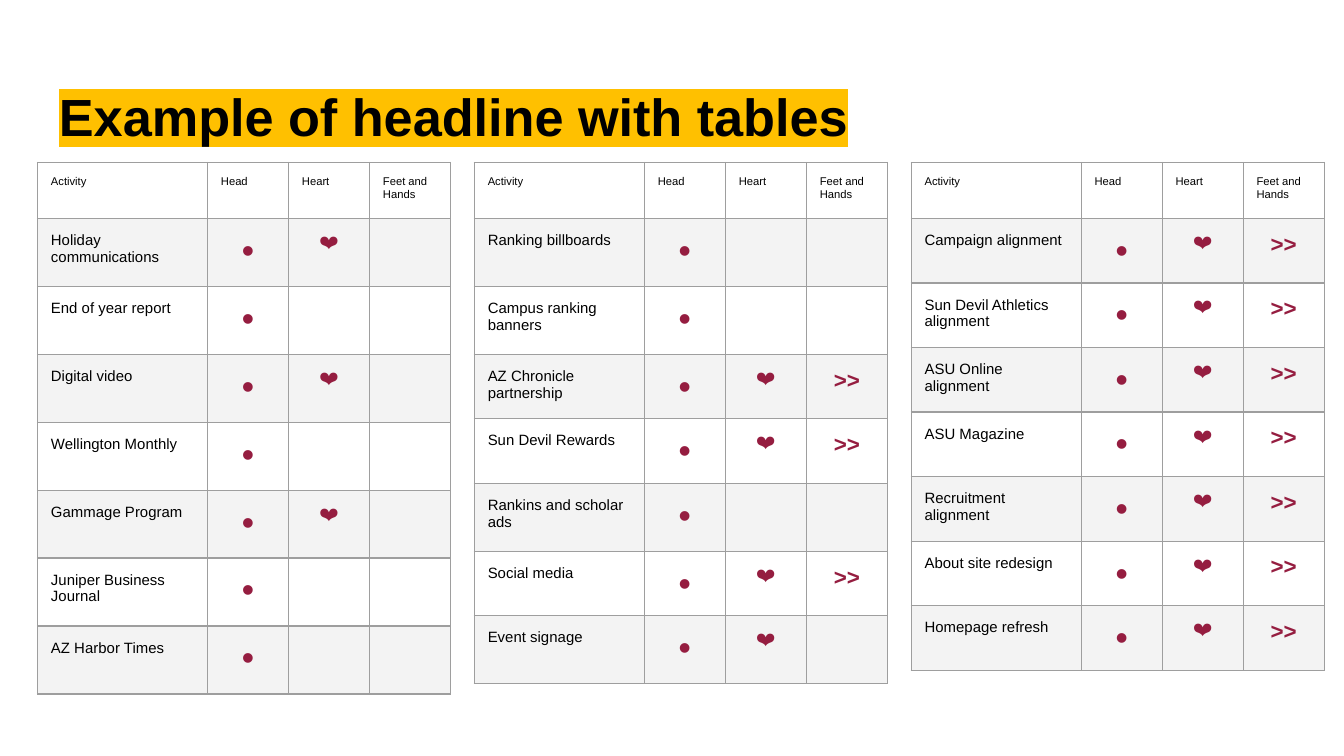
from dataclasses import dataclass

from lxml import etree
from pptx import Presentation, util as u
from pptx.dml.color import RGBColor
from pptx.enum import text
from pptx.oxml import ns


@dataclass(frozen=True)
class Theme:
    font: str = "Arial"
    ink: str = "000000"
    maroon: str = "951D40"
    gold: str = "FFC000"
    band: str = "F3F3F3"
    border: str = "9E9E9E"
    title_size: float = 28
    header_size: float = 6
    activity_size: float = 8


THEME = Theme()
HEADERS = ("Activity", "Head", "Heart", "Feet and Hands")
# Symbol and type size for head, heart, feet and hands
MARKS = (("•", 18), ("❤", 11), (">>", 12))

# Each activity with the number of marks it earns, from head onwards
TABLES = (
    (("Holiday communications", 2), ("End of year report", 1),
     ("Digital video", 2), ("Wellington Monthly", 1),
     ("Gammage Program", 2), ("Juniper Business Journal", 1),
     ("AZ Harbor Times", 1)),
    (("Ranking billboards", 1), ("Campus ranking banners", 1),
     ("AZ Chronicle partnership", 3), ("Sun Devil Rewards", 3),
     ("Rankins and scholar ads", 1), ("Social media", 3),
     ("Event signage", 2)),
    (("Campaign alignment", 3), ("Sun Devil Athletics alignment", 3),
     ("ASU Online alignment", 3), ("ASU Magazine", 3),
     ("Recruitment alignment", 3), ("About site redesign", 3),
     ("Homepage refresh", 3)),
)

# Layout in points
COLUMN_WIDTHS = (91.1, 43.4, 43.4, 43.4)
ROW_HEIGHT = 30
TABLE_LEFT, TABLE_TOP, TABLE_PITCH = 20.1, 87, 234
INSET = 7.2


def add_run(paragraph, words, size, color=THEME.ink, bold=False):
    run = paragraph.add_run()
    run.text = words
    run.font.name = THEME.font
    run.font.size = u.Pt(size)
    run.font.bold = bold
    run.font.color.rgb = RGBColor.from_string(color)
    return run


def highlight(run, color):
    mark = etree.Element(ns.qn("a:highlight"))
    etree.SubElement(mark, ns.qn("a:srgbClr"), val=color)
    run.font.fill  # the highlight must follow the fill
    run.font._element.find(ns.qn("a:solidFill")).addnext(mark)


def add_title(slide, words):
    box = slide.shapes.add_textbox(u.Pt(24.5), u.Pt(35.3), u.Pt(671), u.Pt(45.4))
    frame = box.text_frame
    frame.word_wrap = True
    frame.auto_size = text.MSO_AUTO_SIZE.NONE
    frame.margin_left = frame.margin_right = u.Pt(INSET)
    frame.margin_top = u.Pt(9.7)
    frame.margin_bottom = u.Pt(0)
    run = add_run(frame.paragraphs[0], words, THEME.title_size, bold=True)
    highlight(run, THEME.gold)


def set_borders(cell):
    properties = cell._tc.get_or_add_tcPr()
    for index, side in enumerate(("lnL", "lnR", "lnT", "lnB")):
        line = etree.Element(ns.qn(f"a:{side}"), w=str(u.Pt(0.75)))
        fill = etree.SubElement(line, ns.qn("a:solidFill"))
        etree.SubElement(fill, ns.qn("a:srgbClr"), val=THEME.border)
        properties.insert(index, line)


def style_cell(cell, banded):
    cell.margin_left = cell.margin_right = u.Pt(INSET)
    cell.margin_top = cell.margin_bottom = u.Pt(INSET)
    if banded:
        cell.fill.solid()
        cell.fill.fore_color.rgb = RGBColor.from_string(THEME.band)
    else:
        cell.fill.background()
    set_borders(cell)


def add_activity_table(slide, left, activities):
    row_count = len(activities) + 1
    shape = slide.shapes.add_table(
        row_count, len(HEADERS), u.Pt(left), u.Pt(TABLE_TOP),
        u.Pt(sum(COLUMN_WIDTHS)), u.Pt(ROW_HEIGHT * row_count))
    table = shape.table
    table.first_row = table.horz_banding = False
    for column, width in zip(table.columns, COLUMN_WIDTHS):
        column.width = u.Pt(width)
    for index, row in enumerate(table.rows):
        row.height = u.Pt(ROW_HEIGHT)
        for cell in row.cells:
            style_cell(cell, banded=index % 2 == 1)

    # Header row
    for column, header in enumerate(HEADERS):
        paragraph = table.cell(0, column).text_frame.paragraphs[0]
        add_run(paragraph, header, THEME.header_size)

    # Activity rows
    for row, (activity, mark_count) in enumerate(activities, start=1):
        paragraph = table.cell(row, 0).text_frame.paragraphs[0]
        add_run(paragraph, activity, THEME.activity_size)
        for column, (symbol, size) in enumerate(MARKS[:mark_count], start=1):
            paragraph = table.cell(row, column).text_frame.paragraphs[0]
            paragraph.alignment = text.PP_ALIGN.CENTER
            add_run(paragraph, symbol, size, THEME.maroon, bold=True)


def main():
    presentation = Presentation()
    presentation.slide_width = u.Pt(720)
    presentation.slide_height = u.Pt(405)
    slide = presentation.slides.add_slide(presentation.slide_layouts[6])

    add_title(slide, "Example of headline with tables")
    for index, activities in enumerate(TABLES):
        add_activity_table(slide, TABLE_LEFT + index * TABLE_PITCH, activities)

    presentation.save("out.pptx")


if __name__ == "__main__":
    main()
